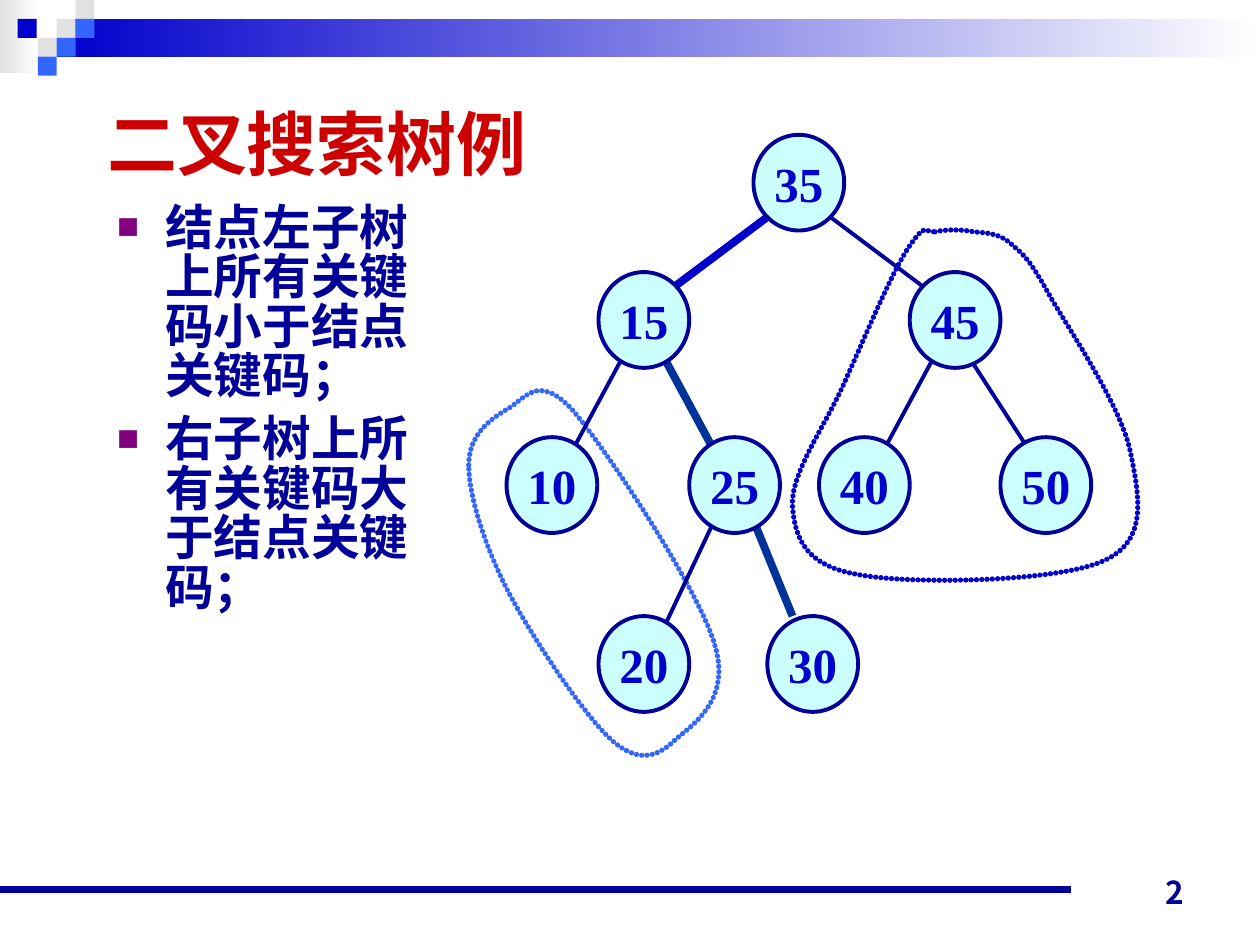
from lxml import etree
from pptx import Presentation
from pptx import util as u
from pptx.dml import color
from pptx.enum import dml, shapes, text
from pptx.oxml import ns

theme = {
    "navy": "000099", "blue": "0000CC", "sky": "3366FF", "steel": "003399",
    "grey": "E1E1E1", "white": "FFFFFF", "node": "CCFFFF", "red": "CC0000",
    "bullet": "800080",
    "title": {"name": "Arial", "size": u.Pt(40), "bold": True},
    "body": {"name": "Arial", "size": u.Pt(27.8), "bold": True},
    "key": {"name": "Times New Roman", "size": u.Pt(28), "bold": True},
    "number": {"name": "Noto Sans CJK JP", "size": u.Pt(18), "bold": True},
}
rgb = {k: color.RGBColor.from_string(v) for k, v in theme.items() if isinstance(v, str)}


def write(p, words, style, ink):
    r = p.add_run()
    r.text = words
    for name, value in theme[style].items():
        setattr(r.font, name, value)
    r.font.color.rgb = rgb[ink]


def outline(s, start, curves, ink):
    points = [tuple(map(u.Inches, c[i:i + 2])) for c in curves for i in (0, 2, 4)]
    pen = s.shapes.build_freeform(*map(u.Inches, start))
    pen.add_line_segments(points, close=True)
    sp = pen.convert_to_shape()
    steps = list(sp._element.iter(ns.qn("a:lnTo")))[:len(points)]
    for i in range(0, len(steps), 3):
        curve = etree.Element(ns.qn("a:cubicBezTo"))
        steps[i].addprevious(curve)
        for step in steps[i:i + 3]:
            curve.append(step[0])
            step.getparent().remove(step)
    sp.shadow.inherit = False
    sp.fill.background()
    sp.line.color.rgb = rgb[ink]
    sp.line.width = u.Pt(3)
    sp.line.dash_style = dml.MSO_LINE.ROUND_DOT
    ln = sp._element.spPr.find(ns.qn("a:ln"))
    ln.set("cap", "rnd")
    dash = etree.Element(ns.qn("a:custDash"))
    etree.SubElement(dash, ns.qn("a:ds"), d="100000", sp="1000")
    ln.replace(ln.find(ns.qn("a:prstDash")), dash)


prs = Presentation()
prs.slide_width, prs.slide_height = u.Inches(10), u.Inches(7.5)
s = prs.slides.add_slide(prs.slide_layouts[1])

blocks = [
    (0, 0, 0.31, 0.58, "grey", True), (0.45, 0.15, 9.55, 0.3, "blue", True),
    (0.45, 0.15, 0.15, 0.15, "grey", False), (0.6, 0, 0.15, 0.15, "grey", False),
    (0.6, 0.15, 0.15, 0.15, "sky", False), (0.3, 0.3, 0.15, 0.15, "grey", False),
    (0.14, 0.15, 0.15, 0.15, "blue", False), (0.45, 0.3, 0.15, 0.15, "sky", False),
    (0.3, 0.45, 0.15, 0.15, "sky", False),
]
for x, y, w, h, ink, fades in blocks:
    sp = s.shapes.add_shape(shapes.MSO_SHAPE.RECTANGLE, *map(u.Inches, (x, y, w, h)))
    sp.shadow.inherit = False
    sp.line.fill.background()
    if fades:
        sp.fill.gradient()
        sp.fill.gradient_angle = 0
        for stop, place, tone in zip(sp.fill.gradient_stops, (0, 1), (ink, "white")):
            stop.position = place
            stop.color.rgb = rgb[tone]
    else:
        sp.fill.solid()
        sp.fill.fore_color.rgb = rgb[ink]

outline(s, (3.72, 3.69), [
    (3.72, 3.45, 3.89, 3.33, 4.02, 3.25), (4.16, 3.18, 4.26, 2.95, 4.54, 3.25),
    (4.81, 3.56, 5.54, 4.67, 5.67, 5.11), (5.81, 5.55, 5.5, 5.75, 5.36, 5.87),
    (5.23, 6, 5.07, 6.07, 4.85, 5.87), (4.63, 5.67, 4.21, 5.04, 4.02, 4.67),
    (3.84, 4.31, 3.72, 3.93, 3.72, 3.69)], "sky")

lines = [
    (0, 7.06, 8.5, 7.06, "navy", 4.5),
    (7.42, 2.82, 7.01, 3.58, "navy", 2.25), (5.98, 4.13, 6.29, 4.89, "steel", 4.5),
    (5.67, 4.13, 5.26, 5, "navy", 2.25), (4.95, 2.82, 4.54, 3.58, "navy", 2.25),
    (5.26, 2.82, 5.67, 3.58, "steel", 4.5), (6.08, 1.73, 5.36, 2.27, "blue", 4.5),
    (6.6, 1.73, 7.32, 2.27, "navy", 2.25), (7.72, 2.88, 8.14, 3.53, "navy", 2.25),
]
for x1, y1, x2, y2, ink, width in lines:
    sp = s.shapes.add_connector(shapes.MSO_CONNECTOR.STRAIGHT,
                                *map(u.Inches, (x1, y1, x2, y2)))
    sp.line.color.rgb = rgb[ink]
    sp.line.width = u.Pt(width)
    etree.SubElement(sp._element.spPr, ns.qn("a:effectLst"))

levels = [
    (1.07, {"35": 5.98}),
    (2.16, {"15": 4.75, "45": 7.22}),
    (3.47, {"10": 4.02, "25": 5.47, "40": 6.5, "50": 7.94}),
    (4.89, {"20": 4.75, "30": 6.09}),
]
for y, keys in levels:
    for key, x in keys.items():
        sp = s.shapes.add_shape(shapes.MSO_SHAPE.OVAL, *map(u.Inches, (x, y, 0.72, 0.76)))
        sp.shadow.inherit = False
        sp.fill.solid()
        sp.fill.fore_color.rgb = rgb["node"]
        sp.line.color.rgb = rgb["navy"]
        sp.line.width = u.Pt(2.25)
        tf = sp.text_frame
        tf.word_wrap = False
        tf.vertical_anchor = text.MSO_ANCHOR.MIDDLE
        p = tf.paragraphs[0]
        p.alignment = text.PP_ALIGN.CENTER
        write(p, key, "key", "blue")

outline(s, (7.42, 1.84), [
    (7.51, 1.82, 7.63, 1.82, 7.73, 1.84), (7.84, 1.85, 7.94, 1.85, 8.04, 1.95),
    (8.15, 2.04, 8.2, 2.11, 8.35, 2.38), (8.51, 2.65, 8.9, 3.24, 8.97, 3.58),
    (9.04, 3.93, 9.12, 4.29, 8.76, 4.45), (8.4, 4.62, 7.22, 4.64, 6.81, 4.56),
    (6.39, 4.49, 6.31, 4.27, 6.29, 4.02), (6.27, 3.76, 6.55, 3.38, 6.7, 3.04),
    (6.86, 2.69, 7.08, 2.15, 7.22, 1.95), (7.36, 1.75, 7.34, 1.85, 7.42, 1.84)], "blue")

title, body = s.shapes.title, s.placeholders[1]
number = s.shapes.add_textbox(0, 0, 0, 0)
frames = [
    (title, (0.75, 0.68, 3.88, 0.9), text.MSO_ANCHOR.MIDDLE),
    (body, (0.83, 1.58, 2.8, 3.58), text.MSO_ANCHOR.TOP),
    (number, (7.17, 6.78, 2.33, 0.5), text.MSO_ANCHOR.BOTTOM),
]
for sp, box, anchor in frames:
    for name, value in zip(("left", "top", "width", "height"), box):
        setattr(sp, name, u.Inches(value))
    fmt = {"word_wrap": True, "auto_size": text.MSO_AUTO_SIZE.NONE, "vertical_anchor": anchor}
    for name, value in fmt.items():
        setattr(sp.text_frame, name, value)

p = title.text_frame.paragraphs[0]
p.alignment = text.PP_ALIGN.LEFT
write(p, "二叉搜索树例", "title", "red")

p = number.text_frame.paragraphs[0]
p.alignment = text.PP_ALIGN.RIGHT
write(p, "2", "number", "navy")

tf = body.text_frame
for i, words in enumerate(["结点左子树上所有关键码小于结点关键码；",
                           "右子树上所有关键码大于结点关键码；"]):
    p = tf.add_paragraph() if i else tf.paragraphs[0]
    for name, value in {"line_spacing": 0.85, "space_before": u.Pt(7.5)}.items():
        setattr(p, name, value)
    write(p, words, "body", "navy")
    pPr = p._p.get_or_add_pPr()
    pPr.set("marL", str(u.Inches(0.38)))
    pPr.set("indent", str(-u.Inches(0.38)))
    ink = etree.SubElement(pPr, ns.qn("a:buClr"))
    etree.SubElement(ink, ns.qn("a:srgbClr"), val=theme["bullet"])
    etree.SubElement(pPr, ns.qn("a:buSzPct"), val="75000")
    etree.SubElement(pPr, ns.qn("a:buFont"), typeface="Arial")
    etree.SubElement(pPr, ns.qn("a:buChar"), char="■")

prs.save("out.pptx")
